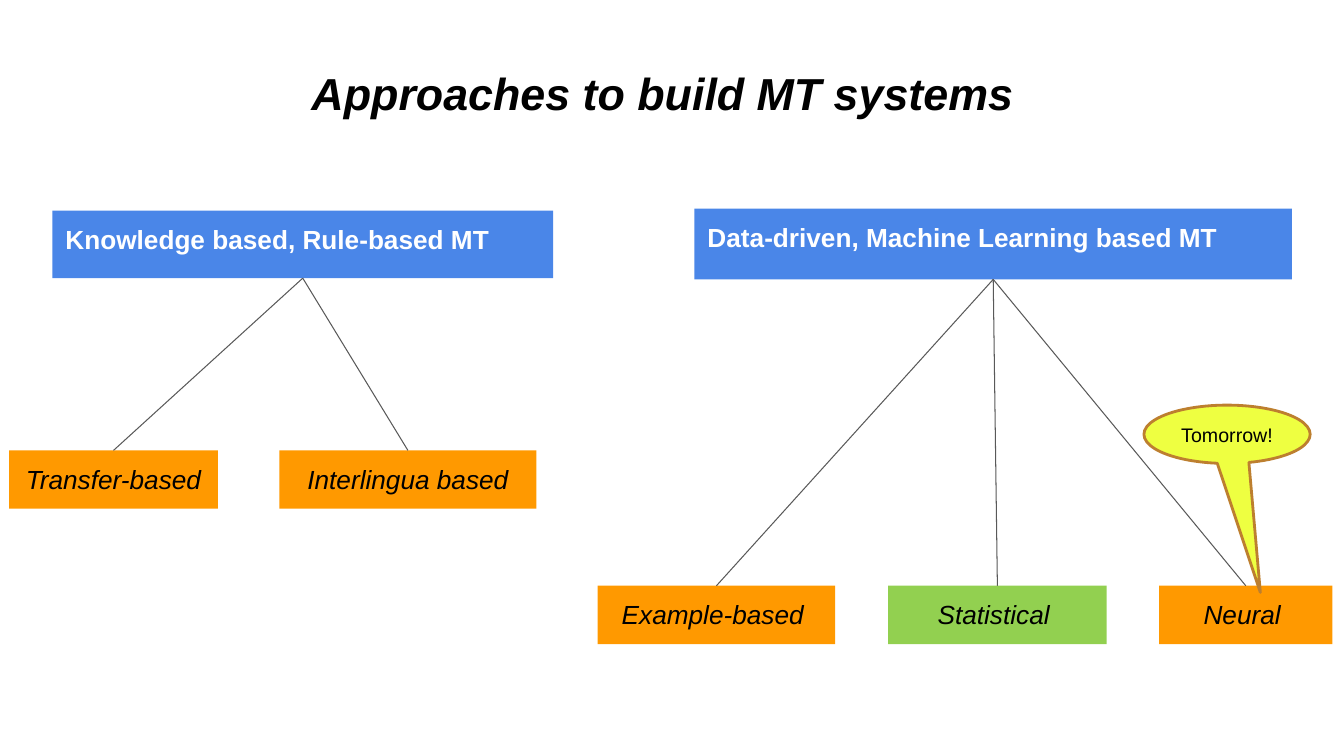
from dataclasses import dataclass

from pptx import Presentation
from pptx import util as u
from pptx.dml.color import RGBColor
from pptx.enum import shapes, text
from pptx.oxml.ns import qn


@dataclass(frozen=True)
class Theme:
    font: str = "Arial"
    black: str = "000000"
    white: str = "FFFFFF"
    blue: str = "4A86E8"
    orange: str = "FF9900"
    green: str = "92D050"
    yellow: str = "EEFF41"
    brown: str = "BD7F2F"
    grey: str = "595959"
    title_size: float = 32
    label_size: float = 18.7
    callout_size: float = 14


THEME = Theme()
LEFT, CENTER = text.PP_ALIGN.LEFT, text.PP_ALIGN.CENTER
TOP, MIDDLE = text.MSO_ANCHOR.TOP, text.MSO_ANCHOR.MIDDLE

FAMILIES = [
    ("Knowledge based, Rule-based MT", (1.32, 5.31, 12.62, 1.7), 11.35, [
        ("Transfer-based", 0.23, 5.26, THEME.orange),
        ("Interlingua based", 7.04, 6.48, THEME.orange),
    ]),
    ("Data-driven, Machine Learning based MT", (17.5, 5.26, 15.06, 1.78), 14.76, [
        ("Example-based ", 15.06, 5.99, THEME.orange),
        ("Statistical ", 22.38, 5.51, THEME.green),
        ("Neural ", 29.21, 4.37, THEME.orange),
    ]),
]
METHOD_HEIGHT = 1.47


def cm(*values):
    return [u.Cm(value) for value in values]


def write(box, words, size=THEME.label_size, color=THEME.black, bold=False,
          italic=False, align=LEFT, anchor=TOP, inset=(0.33, 0.33)):
    frame = box.text_frame
    frame.word_wrap = True
    frame.vertical_anchor = anchor
    frame.margin_left = frame.margin_right = u.Cm(inset[0])
    frame.margin_top = frame.margin_bottom = u.Cm(inset[1])
    para = frame.paragraphs[0]
    para.alignment = align
    span = para.add_run()
    span.text = words
    span.font.name = THEME.font
    span.font.size = u.Pt(size)
    span.font.bold = bold
    span.font.italic = italic
    span.font.color.rgb = RGBColor.from_string(color)


def add_box(page, place, fill, kind=shapes.MSO_SHAPE.RECTANGLE):
    box = page.shapes.add_shape(kind, *cm(*place))
    box.shadow.inherit = False
    box.fill.solid()
    box.fill.fore_color.rgb = RGBColor.from_string(fill)
    box.line.fill.background()
    return box


def add_branch(page, parent, child):
    branch = page.shapes.add_connector(shapes.MSO_CONNECTOR.STRAIGHT, 0, 0, 0, 0)
    branch.begin_connect(parent, 2)
    branch.end_connect(child, 0)
    branch.line.color.rgb = RGBColor.from_string(THEME.grey)
    branch.line.width = u.Pt(0.75)
    properties = branch.element.spPr
    properties.append(properties.makeelement(qn("a:effectLst"), {}))


def add_family(page, heading, place, method_top, methods):
    parent = add_box(page, place, THEME.blue)
    write(parent, heading, color=THEME.white, bold=True)
    for name, left, width, fill in methods:
        child = add_box(page, (left, method_top, width, METHOD_HEIGHT), fill)
        write(child, name, italic=True, align=CENTER)
        add_branch(page, parent, child)


def add_callout(page, words, place, tip):
    callout = add_box(page, place, THEME.yellow, shapes.MSO_SHAPE.OVAL_CALLOUT)
    callout.adjustments[0], callout.adjustments[1] = tip
    callout.line.color.rgb = RGBColor.from_string(THEME.brown)
    callout.line.width = u.Pt(2)
    write(callout, words, size=THEME.callout_size, align=CENTER,
          anchor=MIDDLE, inset=(0.25, 0.13))


def main():
    deck = Presentation()
    deck.slide_width, deck.slide_height = cm(33.87, 19.05)
    page = deck.slides.add_slide(deck.slide_layouts[6])
    title = page.shapes.add_textbox(*cm(7.52, 1.32, 18.82, 1.47))
    write(title, "Approaches to build MT systems", size=THEME.title_size,
          bold=True, italic=True)
    for family in FAMILIES:
        add_family(page, *family)
    add_callout(page, "Tomorrow!", (28.83, 10.21, 4.19, 1.47), (0.2, 2.71))
    deck.save("out.pptx")


if __name__ == "__main__":
    main()
